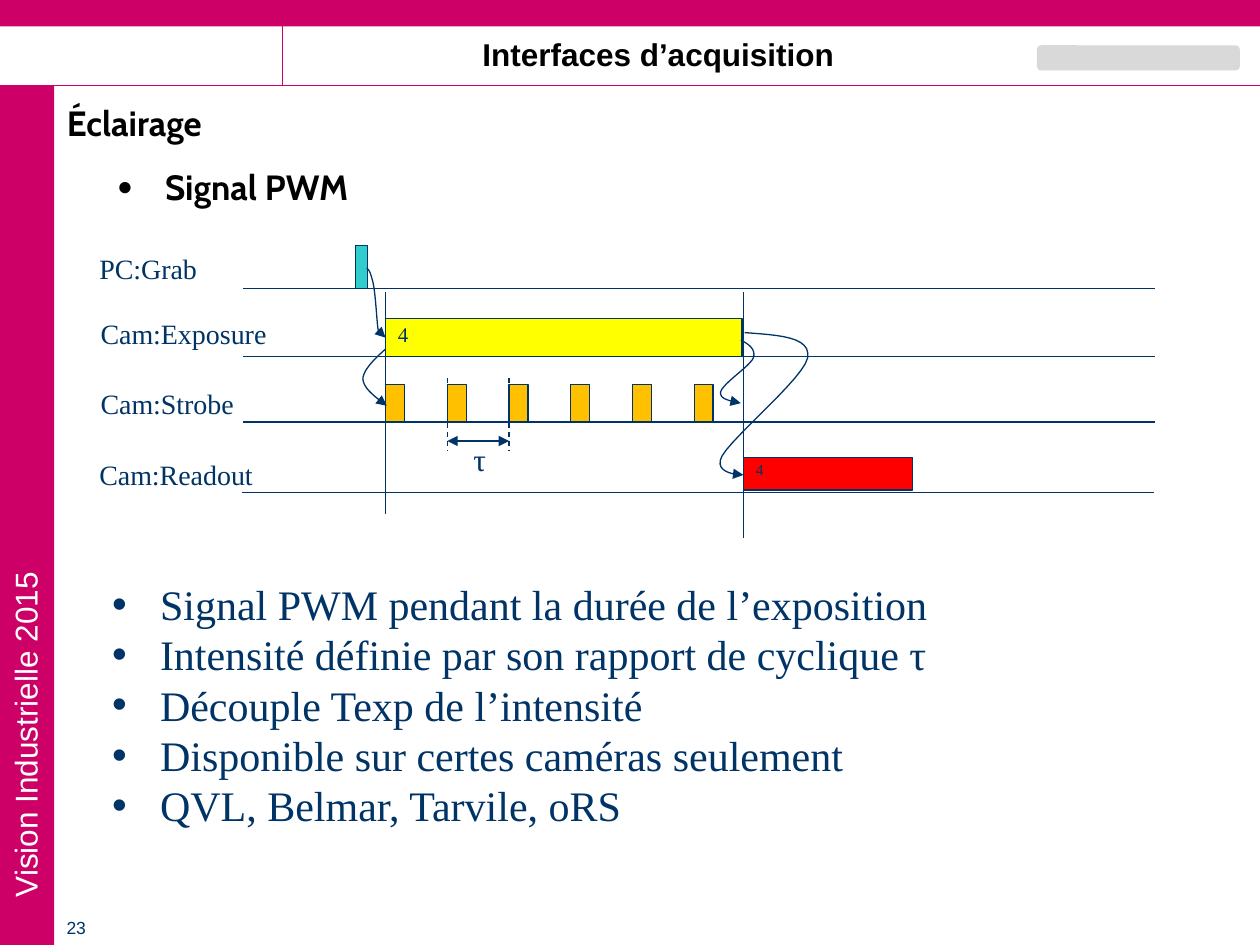
from dataclasses import dataclass

from lxml.etree import SubElement
from pptx import Presentation
from pptx.dml.color import RGBColor
from pptx.enum.dml import MSO_LINE
from pptx.enum.shapes import MSO_CONNECTOR, MSO_SHAPE
from pptx.enum.text import MSO_ANCHOR, MSO_AUTO_SIZE, PP_ALIGN
from pptx.oxml.ns import qn
from pptx.util import Inches, Pt


@dataclass(frozen=True)
class Theme:
    """Colours, fonts and type sizes of the slide."""
    brand: str = "CC0066"
    ink: str = "003366"
    black: str = "000000"
    white: str = "FFFFFF"
    badge: str = "D9D9D9"
    grab: str = "33CCCC"
    exposure: str = "FFFF00"
    strobe: str = "FFC000"
    readout: str = "FF0000"
    sans: str = "Arial"
    heading: str = "Cabin"
    serif: str = "Times New Roman"
    list_size: float = 24
    title_size: float = 20
    header_size: float = 18
    label_size: float = 16
    frame_size: float = 11.9
    page_size: float = 10
    small_frame_size: float = 8.8
    stroke: float = 0.75


THEME = Theme()
EXPOSURE_START, EXPOSURE_END = 3.06, 5.9
PULSE_COUNT, PULSE_PITCH = 6, 0.49
SIGNALS = [
    ("PC:Grab", 0.69, 1.95, 1.2, 1.93, 2.29),
    ("Cam:Exposure", 0.7, 2.46, 1.6, 1.93, 2.83),
    ("Cam:Strobe", 0.7, 3.02, 1.4, 1.93, 3.35),
    ("Cam:Readout", 0.69, 3.58, 1.5, 1.92, 3.91),
]
TRIGGERS = [
    [(2.91, 2.13), (2.93, 2.14), (2.94, 2.16), (2.96, 2.24), (2.98, 2.32), (2.99, 2.54),
     (3, 2.61), (3.02, 2.69), (3.05, 2.67), (3.06, 2.68)],
    [(3.06, 2.77), (2.97, 2.85), (2.88, 2.94), (2.88, 3.01), (2.89, 3.09), (2.98, 3.15),
     (3.07, 3.22)],
    [(5.88, 2.7), (5.94, 2.73), (6, 2.77), (5.98, 2.84), (5.95, 2.91), (5.74, 3.04),
     (5.72, 3.11), (5.71, 3.17), (5.79, 3.18), (5.88, 3.2)],
    [(5.91, 2.64), (6.17, 2.66), (6.44, 2.67), (6.41, 2.84), (6.38, 3), (5.82, 3.46),
     (5.73, 3.62), (5.65, 3.77), (5.9, 3.77), (5.9, 3.77)],
]
PWM_NOTES = [
    "Signal PWM pendant la durée de l’exposition",
    "Intensité définie par son rapport de cyclique τ",
    "Découple Texp de l’intensité",
    "Disponible sur certes caméras seulement",
    "QVL, Belmar, Tarvile, oRS",
]


def rgb(colour):
    """Turn a hex string into a colour."""
    return RGBColor.from_string(colour)


def place(element, left, top, width, height):
    """Move and size an element, in inches."""
    element.left, element.top = Inches(left), Inches(top)
    element.width, element.height = Inches(width), Inches(height)


def write(paragraph, text, font, size, colour, bold=False, align=PP_ALIGN.LEFT):
    """Add one formatted run to a paragraph."""
    paragraph.alignment = align
    paragraph.space_before = Pt(0)
    run = paragraph.add_run()
    run.text = text
    run.font.name, run.font.size, run.font.bold = font, Pt(size), bold
    run.font.color.rgb = rgb(colour)


def add_text(slide, box, text, font, size, colour, **style):
    """Add a one-line text box."""
    caption = slide.shapes.add_textbox(*map(Inches, box))
    caption.text_frame.word_wrap = True
    write(caption.text_frame.paragraphs[0], text, font, size, colour, **style)
    return caption


def add_block(slide, box, fill, outline=None, preset=MSO_SHAPE.RECTANGLE):
    """Add a flat filled shape."""
    block = slide.shapes.add_shape(preset, *map(Inches, box))
    block.shadow.inherit = False
    block.fill.solid()
    block.fill.fore_color.rgb = rgb(fill)
    if outline:
        stroke(block, outline)
    else:
        block.line.fill.background()
    return block


def add_frame(slide, box, fill, number, size, spacing):
    """Add a signal block that carries its frame number."""
    block = add_block(slide, box, fill, THEME.ink)
    block.text_frame.vertical_anchor = MSO_ANCHOR.TOP
    paragraph = block.text_frame.paragraphs[0]
    paragraph.line_spacing = spacing
    write(paragraph, number, THEME.serif, size, THEME.ink)


def stroke(element, colour, ends=()):
    """Set the line of an element and its arrowheads."""
    element.line.color.rgb = rgb(colour)
    element.line.width = Pt(THEME.stroke)
    outline = element.element.spPr.find(qn("a:ln"))
    for end in ends:
        SubElement(outline, qn(f"a:{end}"), type="triangle")


def add_line(slide, start, end, colour=THEME.ink, ends=(), dashed=False):
    """Add a straight line between two points."""
    line = slide.shapes.add_connector(MSO_CONNECTOR.STRAIGHT, *map(Inches, (*start, *end)))
    if dashed:
        line.line.dash_style = MSO_LINE.DASH
    stroke(line, colour, ends)
    SubElement(line.element.spPr, qn("a:effectLst"))


def bezier(p0, p1, p2, p3, steps=12):
    """Return points along a cubic curve, without its start."""
    points = []
    for step in range(1, steps + 1):
        t = step / steps
        weights = ((1 - t) ** 3, 3 * t * (1 - t) ** 2, 3 * t * t * (1 - t), t ** 3)
        points.append(tuple(
            Inches(sum(w * p[axis] for w, p in zip(weights, (p0, p1, p2, p3))))
            for axis in (0, 1)))
    return points


def add_trigger(slide, controls):
    """Add a curved arrow through chained cubic control points."""
    builder = slide.shapes.build_freeform(*map(Inches, controls[0]))
    for start in range(0, len(controls) - 1, 3):
        builder.add_line_segments(bezier(*controls[start:start + 4]), close=False)
    curve = builder.convert_to_shape()
    curve.shadow.inherit = False
    curve.fill.background()
    stroke(curve, THEME.ink, ["tailEnd"])


def fill_list(holder, box, items, bullet, bullet_size, font, size, colour, bold=False):
    """Move a body placeholder and fill it with bulleted items."""
    place(holder, *box)
    frame = holder.text_frame
    frame.auto_size = MSO_AUTO_SIZE.NONE
    for index, item in enumerate(items):
        paragraph = frame.add_paragraph() if index else frame.paragraphs[0]
        properties = paragraph._p.get_or_add_pPr()
        properties.set("marL", str(Inches(0.38)))
        properties.set("indent", str(-Inches(0.38)))
        SubElement(SubElement(properties, qn("a:buClr")), qn("a:srgbClr"), val=colour)
        SubElement(properties, qn("a:buSzPct"), val=str(bullet_size * 1000))
        SubElement(properties, qn("a:buFont"), typeface=THEME.sans)
        SubElement(properties, qn("a:buChar"), char=bullet)
        write(paragraph, item, font, size, colour, bold)


def add_page_frame(slide):
    """Add the coloured bands, header, side text and page number."""
    add_block(slide, (0, 0.68, 0.43, 6.82), THEME.brand)
    add_block(slide, (0, 0, 10, 0.21), THEME.brand)
    add_line(slide, (0, 0.68), (10, 0.68), THEME.brand)
    add_line(slide, (2.24, 0.68), (2.24, 0), THEME.brand)
    add_block(slide, (8.23, 0.36, 1.61, 0.2), THEME.badge, preset=MSO_SHAPE.ROUNDED_RECTANGLE)
    course = add_text(slide, (-1.85, 4.97, 4.1, 0.4), "Vision Industrielle 2015",
                      THEME.sans, THEME.header_size, THEME.white)
    course.rotation = 270
    add_text(slide, (0.43, 7.23, 0.47, 0.27), "23", THEME.sans, THEME.page_size, THEME.ink)
    add_text(slide, (2.31, 0.23, 5.83, 0.4), "Interfaces d’acquisition", THEME.sans,
             THEME.header_size, THEME.black, bold=True, align=PP_ALIGN.CENTER)


def add_timing_diagram(slide):
    """Add the signal rows, pulses, triggers and the duty period."""
    for name, left, top, width, start, baseline in SIGNALS:
        add_line(slide, (start, baseline), (start + 7.24, baseline))
        add_text(slide, (left, top, width, 0.37), name, THEME.serif,
                 THEME.label_size, THEME.ink)
    add_block(slide, (2.82, 1.95, 0.1, 0.34), THEME.grab, THEME.ink)
    add_frame(slide, (EXPOSURE_START, 2.53, 2.83, 0.3), THEME.exposure, "4",
              THEME.frame_size, 0.9)
    add_frame(slide, (EXPOSURE_END, 3.63, 1.34, 0.26), THEME.readout, "4",
              THEME.small_frame_size, 0.8)
    pulses = [EXPOSURE_START + index * PULSE_PITCH for index in range(PULSE_COUNT)]
    for pulse in pulses:
        add_block(slide, (pulse, 3.05, 0.15, 0.3), THEME.strobe, THEME.ink)
    for controls in TRIGGERS:
        add_trigger(slide, controls)
    add_line(slide, (EXPOSURE_START, 2.32), (EXPOSURE_START, 4.08))
    add_line(slide, (EXPOSURE_END, 2.32), (EXPOSURE_END, 4.27))
    period = pulses[1:3]
    for edge in period:
        add_line(slide, (edge, 3), (edge, 3.58), dashed=True)
    add_line(slide, (period[0], 3.5), (period[1], 3.5), ends=["headEnd", "tailEnd"])
    add_text(slide, (3.66, 3.44, 0.3, 0.4), "τ", THEME.serif, THEME.header_size, THEME.ink)


def main():
    """Build and save the slide."""
    deck = Presentation()
    deck.slide_width, deck.slide_height = Inches(10), Inches(7.5)
    slide = deck.slides.add_slide(deck.slide_layouts[3])
    title, topic, notes = slide.placeholders
    add_page_frame(slide)
    place(title, 0.43, 0.76, 9.45, 0.47)
    title.text_frame.vertical_anchor = MSO_ANCHOR.MIDDLE
    title.text_frame.auto_size = MSO_AUTO_SIZE.NONE
    heading = title.text_frame.paragraphs[0]
    heading.line_spacing = 0.9
    write(heading, "Éclairage", THEME.heading, THEME.title_size, THEME.black, bold=True)
    fill_list(topic, (0.83, 1.26, 9.06, 5.91), ["Signal PWM"], "●", 75,
              THEME.heading, THEME.title_size, THEME.black, bold=True)
    fill_list(notes, (0.79, 4.54, 8.49, 2.1), PWM_NOTES, "•", 100,
              THEME.serif, THEME.list_size, THEME.ink)
    add_timing_diagram(slide)
    deck.save("out.pptx")


if __name__ == "__main__":
    main()
